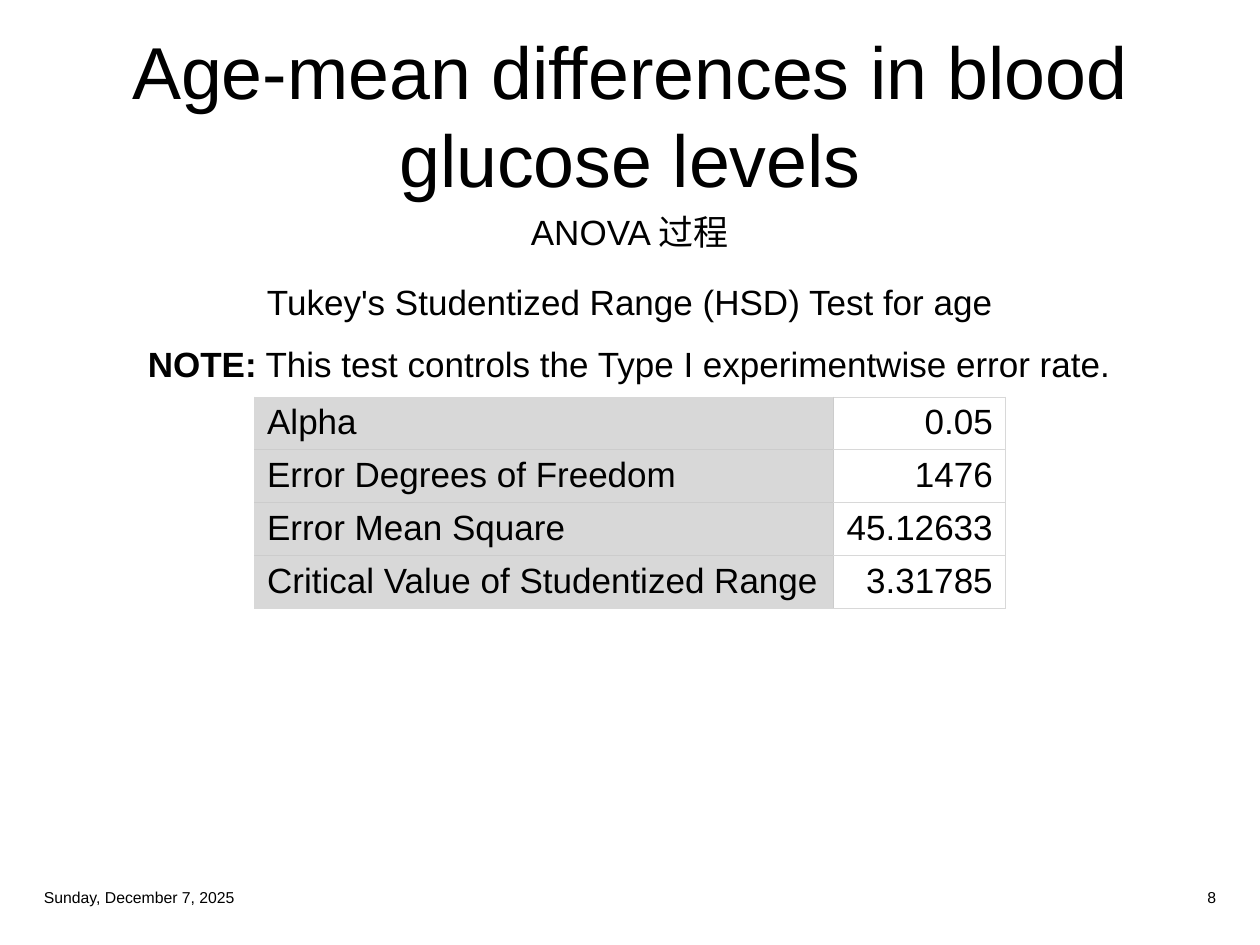
import pptx
import pptx.dml.color
import pptx.enum.text
import pptx.oxml
import pptx.oxml.ns
import pptx.util

ALIGN = pptx.enum.text.PP_ALIGN
ANCHOR = pptx.enum.text.MSO_ANCHOR
COLUMNS, ROWS = 40, 30
LINE_HEIGHT = 1.68


def color(value):
    return pptx.dml.color.RGBColor.from_string(value)


class SlideBuilder:
    font_name = "Arial"
    ink, label_fill, value_fill = "000000", "D8D8D8", "FFFFFF"
    outer_line, inner_line = "D8D8D8", "CCCCCC"
    title_size, body_size, footer_size = 42, 20, 9

    def __init__(self, presentation):
        self.cell_width = presentation.slide_width / COLUMNS
        self.cell_height = presentation.slide_height / ROWS
        layout = presentation.slide_layouts.get_by_name("Title Only")
        self.slide = presentation.slides.add_slide(layout)

    def box(self, left, top, width, height):
        """Turn grid columns and rows into slide lengths."""
        return (round(left * self.cell_width), round(top * self.cell_height),
                round(width * self.cell_width), round(height * self.cell_height))

    def format_run(self, run, size, bold=False):
        run.font.name = self.font_name
        run.font.size = pptx.util.Pt(size)
        run.font.bold = bold
        run.font.color.rgb = color(self.ink)

    def format_frame(self, text_frame, size, align, anchor):
        text_frame.word_wrap = True
        text_frame.auto_size = pptx.enum.text.MSO_AUTO_SIZE.NONE
        text_frame.vertical_anchor = anchor
        paragraph = text_frame.paragraphs[0]
        paragraph.alignment = align
        for run in paragraph.runs:
            self.format_run(run, size)

    def title(self, text, *place):
        shape = self.slide.shapes.title
        shape.left, shape.top, shape.width, shape.height = self.box(*place)
        shape.text_frame.text = text
        self.format_frame(shape.text_frame, self.title_size, ALIGN.CENTER, ANCHOR.MIDDLE)

    def text(self, text, *place, size=body_size, align=ALIGN.CENTER, anchor=ANCHOR.TOP):
        shape = self.slide.shapes.add_textbox(*self.box(*place))
        shape.text_frame.text = text
        self.format_frame(shape.text_frame, size, align, anchor)
        return shape

    def note(self, label, text, *place):
        paragraph = self.text(label, *place).text_frame.paragraphs[0]
        paragraph.runs[0].font.bold = True
        for part, size in ((" ", 18), (text, self.body_size)):
            run = paragraph.add_run()
            run.text = part
            self.format_run(run, size)

    def border(self, cell, side, value):
        cell_properties = cell._tc.get_or_add_tcPr()
        cell_properties.append(pptx.oxml.parse_xml(
            f'<a:ln{side} {pptx.oxml.ns.nsdecls("a")} w="{pptx.util.Pt(0.5)}">'
            f'<a:solidFill><a:srgbClr val="{value}"/></a:solidFill></a:ln{side}>'))

    def table(self, rows, left, top, widths):
        place = self.box(left, top, sum(widths), LINE_HEIGHT * len(rows))
        table = self.slide.shapes.add_table(len(rows), len(widths), *place).table
        table.first_row = table.horz_banding = False
        for column, width in zip(table.columns, widths):
            column.width = round(width * self.cell_width)
        for row_index, values in enumerate(rows):
            for column_index, value in enumerate(values):
                cell = table.cell(row_index, column_index)
                is_label = column_index == 0
                inner = {"L": not is_label, "R": is_label,
                         "T": is_label and row_index > 0,
                         "B": is_label and row_index < len(rows) - 1}
                for side, is_inner in inner.items():
                    self.border(cell, side, self.inner_line if is_inner else self.outer_line)
                cell.fill.solid()
                cell.fill.fore_color.rgb = color(self.label_fill if is_label else self.value_fill)
                # Right-aligned values need less room on their left
                cell.margin_left = pptx.util.Inches(0.1 if is_label else 0.05)
                cell.text_frame.text = value
                paragraph = cell.text_frame.paragraphs[0]
                paragraph.alignment = ALIGN.LEFT if is_label else ALIGN.RIGHT
                self.format_run(paragraph.runs[0], self.body_size)

    def footer(self, text, left, align):
        self.text(text, left, 27.96, 9.52, 1.04, size=self.footer_size,
                  align=align, anchor=ANCHOR.MIDDLE)


def main():
    presentation = pptx.Presentation()
    presentation.slide_width = pptx.util.Inches(10)
    presentation.slide_height = pptx.util.Inches(7.5)
    builder = SlideBuilder(presentation)

    # Headings
    builder.title("Age-mean differences in blood\vglucose levels", 1, 1, 38, 5.24)
    builder.text("ANOVA 过程", 1, 6.48, 38, LINE_HEIGHT)
    builder.text("Tukey's Studentized Range (HSD) Test for age", 1, 8.72, 38, LINE_HEIGHT)
    builder.note("NOTE:", "This test controls the Type I experimentwise error rate.",
                 4.04, 10.68, 31.88, LINE_HEIGHT)

    # Test parameters
    builder.table([("Alpha", "0.05"),
                   ("Error Degrees of Freedom", "1476"),
                   ("Error Mean Square", "45.12633"),
                   ("Critical Value of Studentized Range", "3.31785")],
                  8.08, 12.6, (18.38, 5.46))

    # Date and slide number
    builder.footer("Sunday, December 7, 2025", 1, ALIGN.LEFT)
    builder.footer("8", 29.48, ALIGN.RIGHT)

    presentation.save("out.pptx")


if __name__ == "__main__":
    main()
